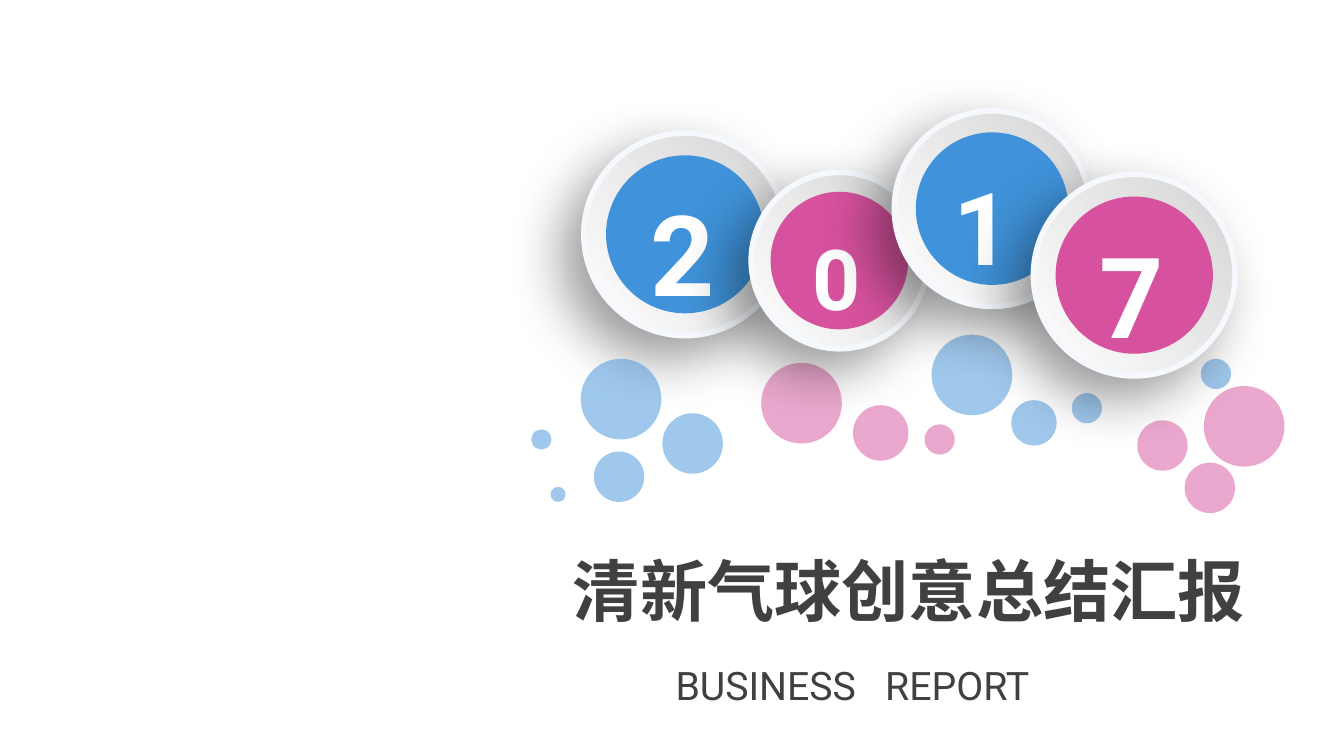
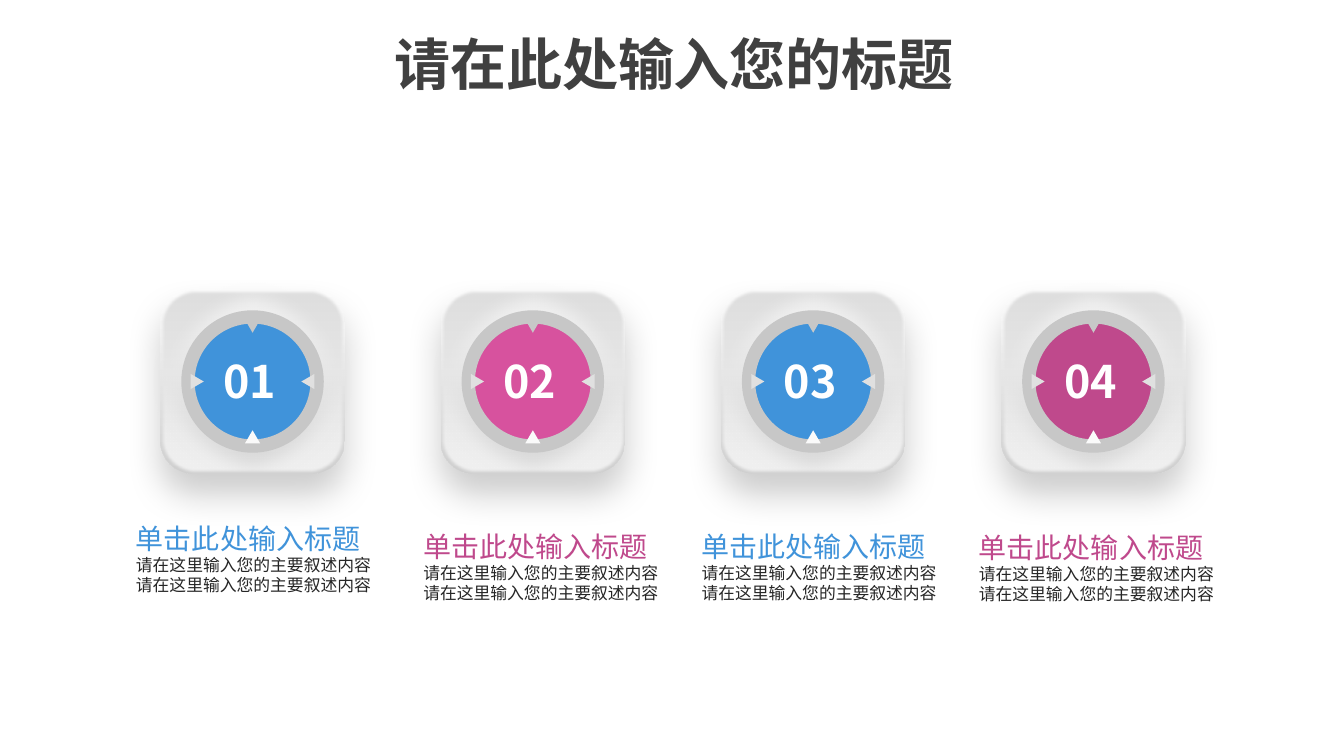
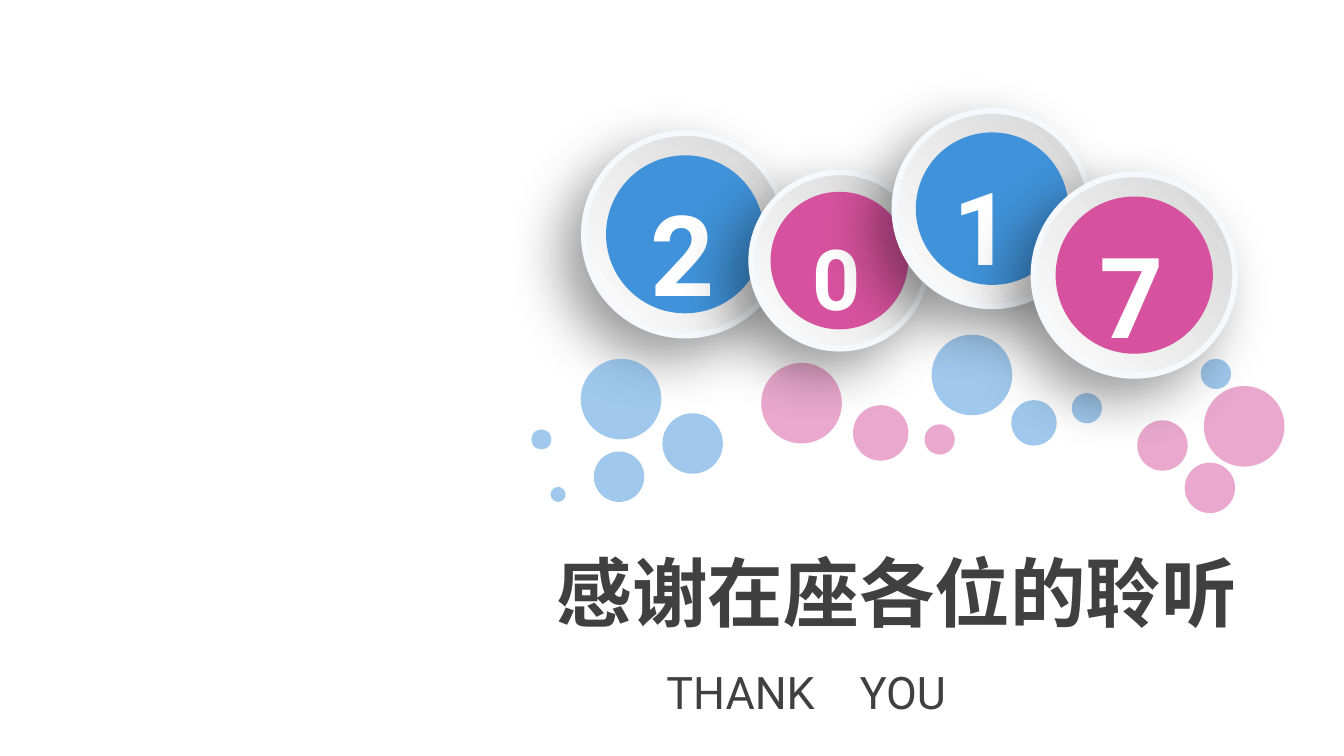
from lxml.etree import SubElement
from pptx import Presentation
from pptx.dml.color import RGBColor
from pptx.enum.shapes import MSO_SHAPE
from pptx.enum.text import MSO_ANCHOR, MSO_AUTO_SIZE, PP_ALIGN
from pptx.oxml.ns import qn
from pptx.util import Emu, Inches, Pt

HUES = {
    "blue": "4093DA", "pink": "D7529E", "plum": "BF498C", "white": "FFFFFF",
    "ink": "404040", "text": "262626", "rim": "F5F9FD", "ring": "C7C7C7",
    "side": "E0E0E0", "tip": "FAFAFA", "dim": "D4D4D4", "black": "000000",
}
LATIN, HAN = "Roboto", "Noto Sans CJK SC"

BADGES = [
    ("2", 5.79, 1.32, 2.01, "blue", 80, (6.35, 1.78, 0.85, 1.45)),
    ("0", 7.45, 1.71, 1.75, "pink", 60, (7.96, 2.2, 0.69, 1.11)),
    ("1", 8.87, 1.1, 1.94, "blue", 72, (9.36, 1.58, 0.78, 1.31)),
    ("7", 10.25, 1.73, 2, "pink", 80, (10.81, 2.2, 0.85, 1.45)),
]
BUBBLES = {
    "blue": [(9.24, 3.32, 0.8), (5.76, 3.56, 0.8), (5.89, 4.48, 0.5),
             (6.57, 4.1, 0.6), (10.03, 3.97, 0.45), (10.63, 3.9, 0.3),
             (11.91, 3.56, 0.3), (5.27, 4.26, 0.2), (5.46, 4.83, 0.15)],
    "pink": [(11.94, 3.83, 0.8), (7.55, 3.6, 0.8), (8.46, 4.02, 0.55),
             (11.28, 4.17, 0.5), (11.75, 4.59, 0.5), (9.17, 4.21, 0.3)],
}
STEPS = [
    ("01", "blue", "blue", 1.25, 5.12),
    ("02", "pink", "plum", 4.1, 5.2),
    ("03", "blue", "blue", 6.86, 5.2),
    ("04", "plum", "plum", 9.61, 5.21),
]


def tint(name):
    """Return a named or plain hex colour."""
    return RGBColor.from_string(HUES.get(name, name))


def place(item, box):
    """Move an item to a box in inches."""
    item.left, item.top, item.width, item.height = map(Inches, box)


def style(para, size, hue, face=HAN, bold=False, align=PP_ALIGN.LEFT):
    """Format a whole paragraph."""
    font = para.font
    font.size, font.bold, font.name = Pt(size), bold, face
    font.color.rgb = tint(hue)
    SubElement(para._p.pPr.find(qn("a:defRPr")), qn("a:ea"), typeface=face)
    para.alignment, para.space_before = align, Pt(0)


def frame(item):
    """Prepare a text frame that starts at its top edge."""
    text = item.text_frame
    text.word_wrap, text.auto_size = True, MSO_AUTO_SIZE.NONE
    text.vertical_anchor = MSO_ANCHOR.TOP
    text.margin_left = text.margin_right = Inches(0.1)
    text.margin_top = text.margin_bottom = Inches(0.05)
    return text


def label(slide, box, lines):
    """Add a text box of (text, format) lines."""
    text = frame(slide.shapes.add_textbox(*map(Inches, box)))
    for i, (words, form) in enumerate(lines):
        para = text.add_paragraph() if i else text.paragraphs[0]
        para.text = words
        style(para, **form)


def title(slide, words, box, size):
    """Fill and move the title placeholder."""
    place(slide.shapes.title, box)
    text = frame(slide.shapes.title)
    text.text = words
    style(text.paragraphs[0], size, "ink", bold=True, align=PP_ALIGN.CENTER)


def effect(shape, kind, **attrs):
    """Add an effect to a shape and return it."""
    return SubElement(shape._element.spPr.find(qn("a:effectLst")), qn(kind), **attrs)


def shade(shape, alpha, blur, dist, angle):
    """Give a shape an outer shadow."""
    cast = effect(shape, "a:outerShdw", blurRad=str(Pt(blur)), dist=str(Pt(dist)),
                  dir=str(angle * 60000), algn="ctr", rotWithShape="0")
    color = SubElement(cast, qn("a:srgbClr"), val=HUES["black"])
    SubElement(color, qn("a:alpha"), val=str(alpha * 1000))


def soften(shape, size):
    """Fade the edge of a shape over a width in inches."""
    effect(shape, "a:softEdge", rad=str(Inches(size)))


def draw(slide, kind, box, fill, angle=0, line=None, width=0, alpha=100):
    """Add a preset shape with a plain or two-stop fill."""
    shape = slide.shapes.add_shape(kind, *map(Inches, box))
    shape.shadow.inherit = False
    if isinstance(fill, tuple):
        shape.fill.gradient()
        shape.fill.gradient_angle = angle
        for stop, hue in zip(shape.fill.gradient_stops, fill):
            stop.color.rgb = tint(hue)
    else:
        shape.fill.solid()
        shape.fill.fore_color.rgb = tint(fill)
    if alpha < 100:
        color = shape._element.spPr.find(qn("a:solidFill"))[0]
        SubElement(color, qn("a:alpha"), val=str(alpha * 1000))
    if line:
        shape.line.color.rgb, shape.line.width = tint(line), Pt(width)
    else:
        shape.line.fill.background()
    return shape


def disc(slide, x, y, size, fill, **form):
    """Add a circle centred on a point."""
    box = (x - size / 2, y - size / 2, size, size)
    return draw(slide, MSO_SHAPE.OVAL, box, fill, **form)


def badge(slide, digit, left, top, size, hue, points, box):
    """Add a raised disc with one digit."""
    x, y = left + size / 2, top + size / 2
    rim = disc(slide, x, y, size, ("white", "dim"), angle=40, line="rim", width=4)
    shade(rim, 40, 40, 20, 135)
    disc(slide, x, y, size * 0.78, hue)
    label(slide, box, [(digit, dict(size=points, hue="white", face=LATIN, bold=True))])


def bubbles(slide):
    """Scatter the translucent bubbles."""
    for hue, spots in BUBBLES.items():
        for left, top, size in spots:
            disc(slide, left + size / 2, top + size / 2, size, hue, alpha=50)


def cover(deck, words, box, size, pair, spot, points, gap):
    """Build an opening or closing slide."""
    slide = deck.slides.add_slide(deck.slide_layouts[0])
    title(slide, words, box, size)
    sub = slide.placeholders[1]
    place(sub, spot)
    para = frame(sub).paragraphs[0]
    for part in (pair[0], " ", pair[1]):
        run = para.add_run()
        run.text = part
        if part == " ":
            run._r.get_or_add_rPr().set("spc", str(gap * 100))
    style(para, points, "ink", face=LATIN)
    badge(slide, *BADGES[0])
    bubbles(slide)
    for item in BADGES[1:]:
        badge(slide, *item)


def tile(slide, number, hue, left, top, size):
    """Add a numbered dial on a soft square."""
    x, y = left + size / 2, top + size / 2
    box = (left, top, size, size)
    base = draw(slide, MSO_SHAPE.ROUNDED_RECTANGLE, box, ("FCFCFC", "CFCFCF"), angle=270)
    shade(base, 20, 25, 15, 90)
    face = draw(slide, MSO_SHAPE.ROUNDED_RECTANGLE, box, ("DEDEDE", "F2F2F2"), angle=270)
    soften(face, 0.03)
    for part in (base, face):
        part.adjustments[0] = 0.18
    soften(disc(slide, x, y, size * 1.11, ("F7F7F7", "dim"), angle=270), 0.18)
    disc(slide, x, y, size * 0.7, hue, line="ring", width=9.5)
    for dx, dy, turn, tone in ((-1, 0, 90, "side"), (1, 0, 270, "side"),
                               (0, -1, 180, "ring"), (0, 1, 0, "tip")):
        far, wide, high = size * 0.3, 0.15, 0.13
        mark = draw(slide, MSO_SHAPE.ISOSCELES_TRIANGLE,
                    (x + dx * far - wide / 2, y + dy * far - high / 2, wide, high), tone)
        mark.rotation = turn
    label(slide, (x - 0.39, y - 0.32, 0.78, 0.64),
          [(number, dict(size=32, hue="white", bold=True))])


def steps(deck):
    """Build the slide of four numbered steps."""
    slide = deck.slides.add_slide(deck.slide_layouts[5])
    title(slide, "请在此处输入您的标题", (3.77, 0.24, 5.83, 0.77), 40)
    body = ("请在这里输入您的主要叙述内容", dict(size=12, hue="text"))
    for i, (number, hue, tone, left, top) in enumerate(STEPS):
        tile(slide, number, hue, 1.59 + 2.78 * i, 2.87, 1.83)
        head = ("单击此处输入标题", dict(size=20, hue=tone))
        label(slide, (left, top, 2.56, 1.25), [head, body, body])


def main():
    """Build and save the deck."""
    deck = Presentation()
    deck.slide_width, deck.slide_height = Inches(13.33), Inches(7.5)
    cover(deck, "清新气球创意总结汇报", (5.53, 5.4, 6.97, 0.91), 48,
          ("BUSINESS", "REPORT"), (6.6, 6.51, 4.83, 0.57), 28, 14)
    steps(deck)
    cover(deck, "感谢在座各位的聆听", (5.37, 5.37, 7.05, 1.01), 54,
          ("THANK", "YOU"), (6.51, 6.54, 4.12, 0.64), 32, 24)
    deck.save("out.pptx")


if __name__ == "__main__":
    main()
